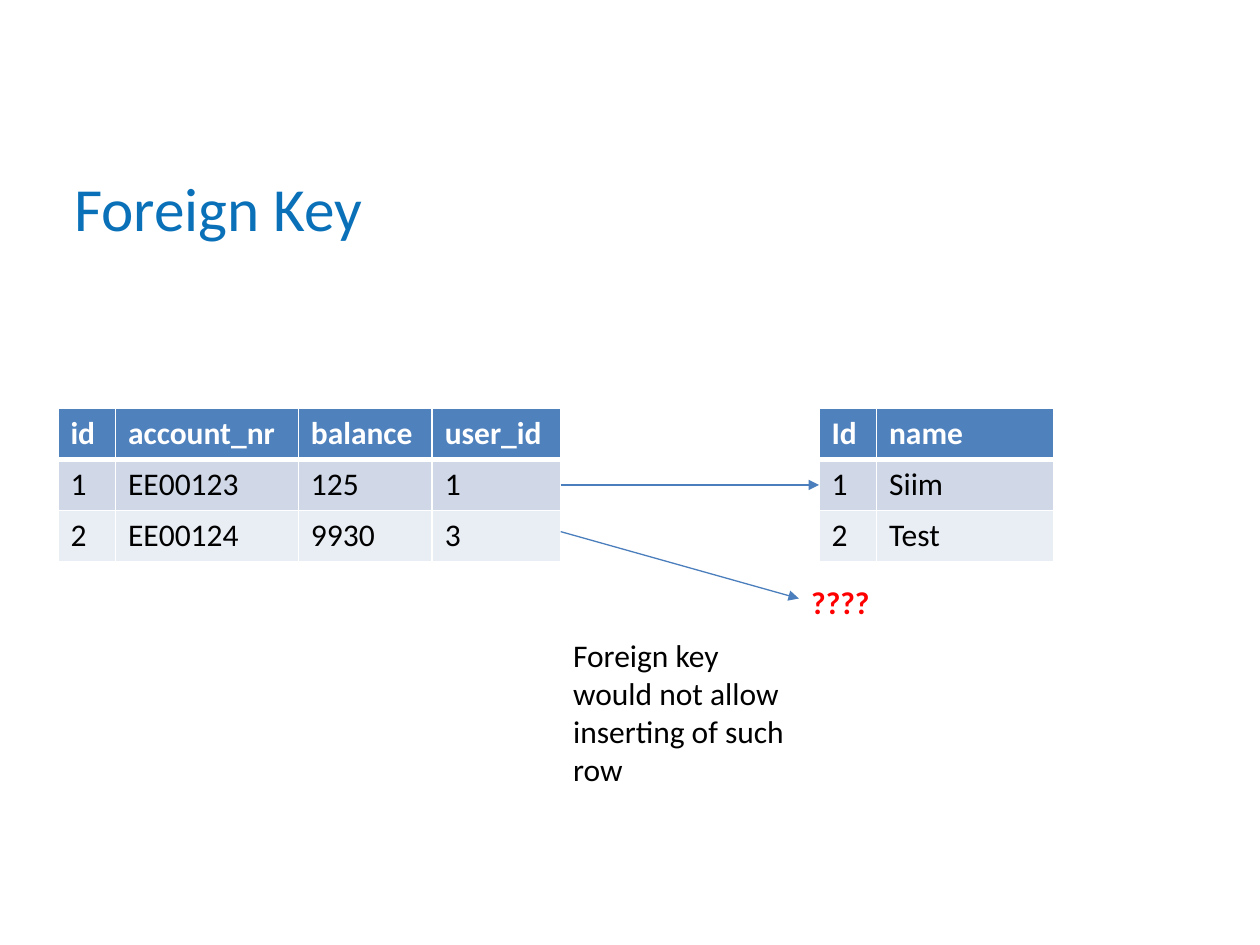
from lxml.etree import SubElement
from pptx import Presentation
from pptx.dml.color import RGBColor
from pptx.enum.shapes import MSO_CONNECTOR as Connector
from pptx.enum.text import MSO_ANCHOR as Anchor, MSO_AUTO_SIZE as AutoSize
from pptx.oxml.ns import qn
from pptx.util import Pt

FONT = "Calibri"
COLORS = {
    "title": "0A71B9", "header": "4F81BD", "odd": "D0D8E8", "even": "E9EDF4",
    "white": "FFFFFF", "text": "000000", "warning": "FF0000", "arrow": "4B7EBC",
}
ROW_HEIGHT = 29.2
TABLE_TOP = 233.3
ACCOUNTS = [["id", "account_nr", "balance", "user_id"],
            ["1", "EE00123", "125", "1"],
            ["2", "EE00124", "9930", "3"]]
USERS = [["Id", "name"], ["1", "Siim"], ["2", "Test"]]


def color(name):
    """Return the named colour."""
    return RGBColor.from_string(COLORS[name])


def set_font(paragraph, color_name, size=18, bold=False):
    """Style a whole paragraph."""
    font = paragraph.font
    font.name, font.size, font.bold = FONT, Pt(size), bold
    font.color.rgb = color(color_name)


def add_text(slide, box, text, color_name, size=18, bold=False,
             wrap=True, anchor=Anchor.TOP, auto_size=AutoSize.SHAPE_TO_FIT_TEXT):
    """Place one paragraph of text in a box of left, top, width, height."""
    frame = slide.shapes.add_textbox(*map(Pt, box)).text_frame
    frame.word_wrap, frame.auto_size = wrap, auto_size
    frame.vertical_anchor = anchor
    frame.text = text
    set_font(frame.paragraphs[0], color_name, size, bold)


def set_borders(cell, top, bottom):
    """Draw white cell borders, with the given top and bottom widths."""
    properties = cell._tc.get_or_add_tcPr()
    for side, width in (("L", 1), ("R", 1), ("T", top), ("B", bottom)):
        line = SubElement(properties, qn(f"a:ln{side}"), w=str(Pt(width)))
        fill = SubElement(line, qn("a:solidFill"))
        SubElement(fill, qn("a:srgbClr"), val=COLORS["white"])


def add_data_table(slide, left, top, widths, rows):
    """Place a table with a header row and banded data rows."""
    table = slide.shapes.add_table(
        len(rows), len(widths), Pt(left), Pt(top),
        Pt(sum(widths)), Pt(ROW_HEIGHT * len(rows))).table
    for column, width in zip(table.columns, widths):
        column.width = Pt(width)
    for row_index, values in enumerate(rows):
        table.rows[row_index].height = Pt(ROW_HEIGHT)
        is_header = row_index == 0
        band = "header" if is_header else ("even", "odd")[row_index % 2]
        for column_index, value in enumerate(values):
            cell = table.cell(row_index, column_index)
            cell.text = value
            set_font(cell.text_frame.paragraphs[0],
                     "white" if is_header else "text", bold=is_header)
            set_borders(cell, 3 if row_index == 1 else 1, 3 if is_header else 1)
            cell.fill.solid()
            cell.fill.fore_color.rgb = color(band)


def add_arrow(slide, start, end):
    """Draw a thin arrow between two points."""
    arrow = slide.shapes.add_connector(Connector.STRAIGHT, *map(Pt, start + end))
    arrow.line.color.rgb = color("arrow")
    arrow.line.width = Pt(0.75)
    SubElement(arrow.line._get_or_add_ln(), qn("a:tailEnd"), type="triangle")
    SubElement(arrow._element.spPr, qn("a:effectLst"))


def add_foreign_key_diagram(slide, left, top):
    """Place both tables, the links between them and the remarks."""
    account_widths = [32.9, 104.5, 76.5, 73.4]
    accounts_right = left + sum(account_widths)
    users_left = left + 434.9
    warning_left = users_left - 11.5
    add_data_table(slide, left, top, account_widths, ACCOUNTS)
    add_data_table(slide, users_left, top, [32.9, 101.3], USERS)

    first_row = top + 1.5 * ROW_HEIGHT
    add_arrow(slide, (accounts_right, first_row), (users_left, first_row))
    add_arrow(slide, (accounts_right, top + 70.5), (warning_left, top + 108.7))
    add_text(slide, (warning_left, top + 96.5, 48.2, 29.1), "????",
             "warning", bold=True, wrap=False)
    add_text(slide, (accounts_right, top + 126.7, 136.1, 94.5),
             "Foreign key would not allow inserting of such row", "text")


def build():
    """Build and save the slide."""
    presentation = Presentation()
    presentation.slide_width, presentation.slide_height = Pt(720), Pt(540)
    slide = presentation.slides.add_slide(presentation.slide_layouts[6])
    add_text(slide, (35.3, 82.8, 648, 59.8), "Foreign Key", "title", size=35,
             anchor=Anchor.BOTTOM, auto_size=AutoSize.NONE)
    add_foreign_key_diagram(slide, 33.1, TABLE_TOP)
    presentation.save("out.pptx")


build()
